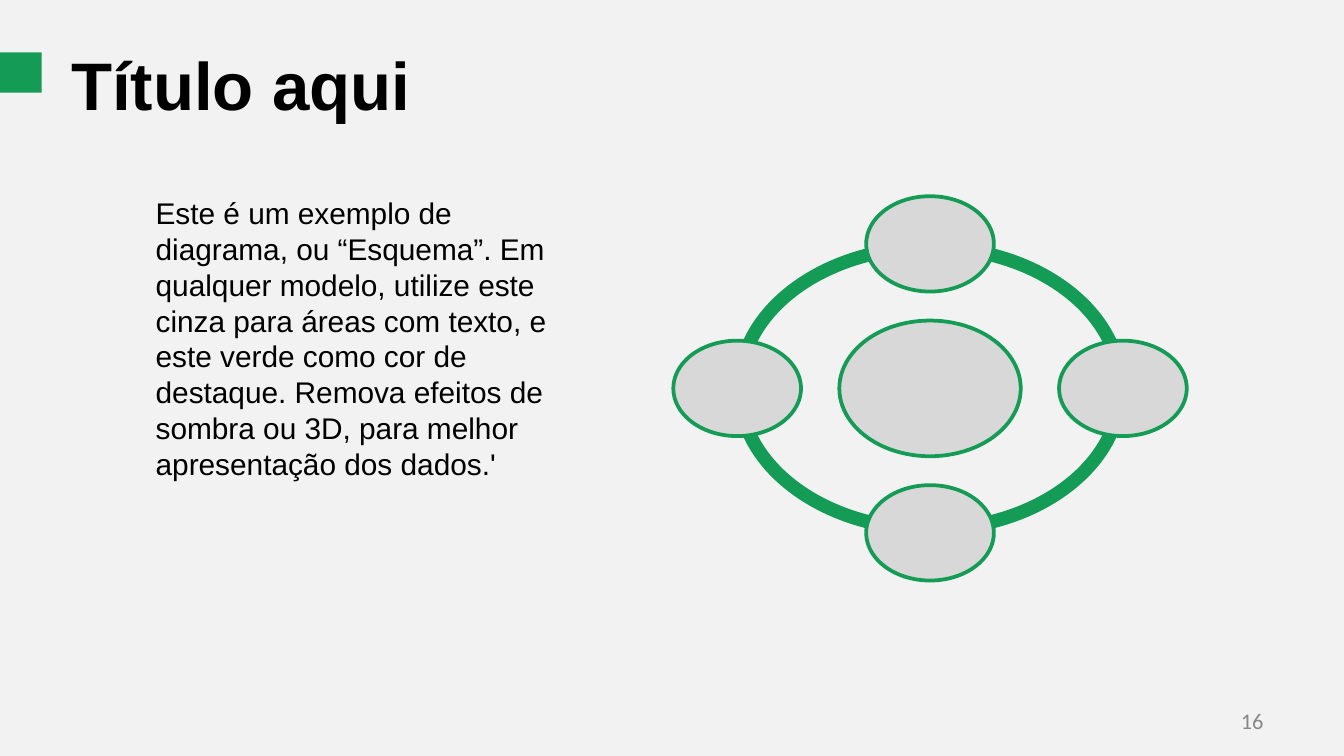
from pptx import Presentation
from pptx.dml.color import RGBColor
from pptx.enum.shapes import MSO_SHAPE
from pptx.enum.text import MSO_ANCHOR, PP_ALIGN
from pptx.util import Inches, Pt

GREEN = RGBColor(0x14, 0x9B, 0x55)
GRAY = RGBColor(0xD8, 0xD8, 0xD8)
BACKGROUND = RGBColor(0xF2, 0xF2, 0xF2)
BLACK = RGBColor(0x00, 0x00, 0x00)
NUMBER_GRAY = RGBColor(0x88, 0x88, 0x88)

BODY = (
    "Este é um exemplo de diagrama, ou “Esquema”. Em qualquer modelo, "
    "utilize este cinza para áreas com texto, e este verde como cor de "
    "destaque. Remova efeitos de sombra ou 3D, para melhor apresentação "
    "dos dados.'"
)


def place(sp, left, top, width, height):
    sp.left, sp.top = Inches(left), Inches(top)
    sp.width, sp.height = Inches(width), Inches(height)


def write(sp, text, size, color, font="Arial", bold=False,
          align=PP_ALIGN.LEFT, anchor=MSO_ANCHOR.TOP):
    tf = sp.text_frame
    tf.word_wrap = True
    tf.vertical_anchor = anchor
    tf.text = text
    p = tf.paragraphs[0]
    p.alignment = align
    r = p.runs[0]
    r.font.name = font
    r.font.size = Pt(size)
    r.font.bold = bold
    r.font.color.rgb = color


def add_filled(s, kind, left, top, width, height, fill, outline=None):
    sp = s.shapes.add_shape(kind, Inches(left), Inches(top),
                            Inches(width), Inches(height))
    sp.shadow.inherit = False
    sp.fill.solid()
    sp.fill.fore_color.rgb = fill
    if outline is None:
        sp.line.fill.background()
    else:
        sp.line.color.rgb = outline
        sp.line.width = Pt(2)
    return sp


def add_header(s, left, top, width, height):
    place(s.shapes.title, left, top, width, height)
    write(s.shapes.title, "Título aqui", 36, BLACK, bold=True)
    add_filled(s, MSO_SHAPE.RECTANGLE, left - 0.47, top + 0.12, 0.35, 0.3, GREEN)


def add_text(s, left, top, width, height, text, size, color, **style):
    sp = s.shapes.add_textbox(Inches(left), Inches(top),
                              Inches(width), Inches(height))
    write(sp, text, size, color, **style)


def add_cycle(s, left, top, width, height):
    cx, cy = left + width / 2, top + height / 2
    ring_w, ring_h = 2.94, 2.2
    hub_w, hub_h = 1.35, 1.01
    node_w, node_h = 0.95, 0.71
    quarter = 54

    for i in range(4):
        arc = add_filled(s, MSO_SHAPE.BLOCK_ARC, cx - ring_w / 2,
                         cy - ring_h / 2, ring_w, ring_h, GREEN)
        arc.adjustments[0] = i * quarter
        arc.adjustments[1] = (i + 1) % 4 * quarter
        arc.adjustments[2] = 0.046

    add_filled(s, MSO_SHAPE.OVAL, cx - hub_w / 2, cy - hub_h / 2,
               hub_w, hub_h, GRAY, GREEN)

    reach_x, reach_y = (width - node_w) / 2, (height - node_h) / 2
    for dx, dy in ((0, -1), (1, 0), (0, 1), (-1, 0)):
        add_filled(s, MSO_SHAPE.OVAL, cx + dx * reach_x - node_w / 2,
                   cy + dy * reach_y - node_h / 2, node_w, node_h, GRAY, GREEN)


def main():
    prs = Presentation()
    prs.slide_width = Inches(10)
    prs.slide_height = prs.slide_width * 9 // 16
    s = prs.slides.add_slide(prs.slide_layouts[5])
    s.background.fill.solid()
    s.background.fill.fore_color.rgb = BACKGROUND

    add_cycle(s, 5.01, 1.46, 3.82, 2.86)
    add_text(s, 1.06, 1.4, 3.39, 2.26, BODY, 16, BLACK)
    add_header(s, 0.43, 0.27, 6.77, 0.71)
    add_text(s, 7.17, 5.21, 2.33, 0.3, "16", 12, NUMBER_GRAY, font="Calibri",
             align=PP_ALIGN.RIGHT, anchor=MSO_ANCHOR.MIDDLE)

    prs.save("out.pptx")


if __name__ == "__main__":
    main()
